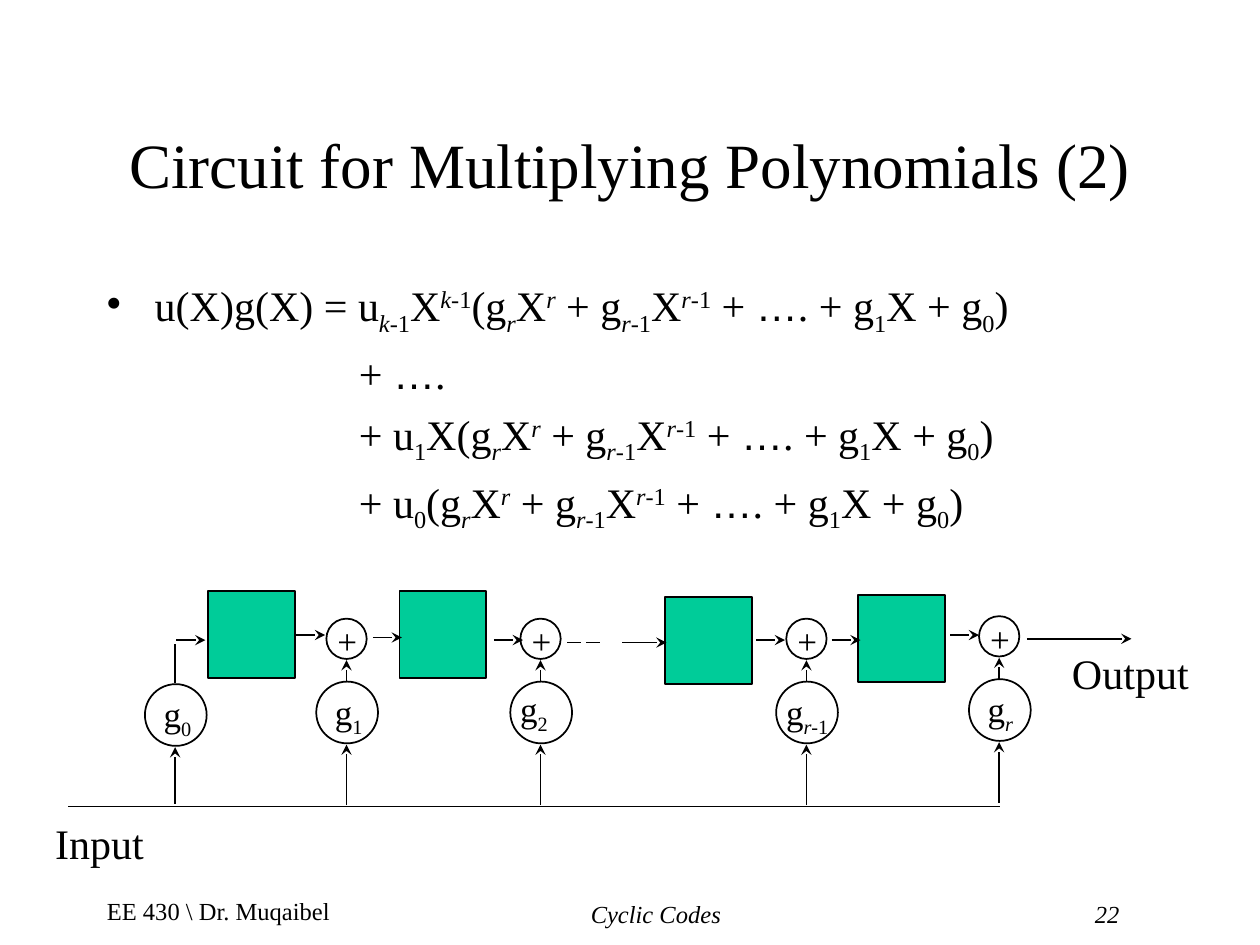
from dataclasses import dataclass
from typing import NamedTuple

from lxml.etree import SubElement
from pptx import Presentation
from pptx.dml.color import RGBColor
from pptx.enum.dml import MSO_LINE
from pptx.enum.shapes import MSO_CONNECTOR, MSO_SHAPE
from pptx.enum.text import MSO_ANCHOR, PP_ALIGN
from pptx.oxml.ns import qn
from pptx.util import Inches, Pt


@dataclass(frozen=True)
class Theme:
    font: str = "Times New Roman"
    dots_font: str = "Arial"
    ink: RGBColor = RGBColor(0, 0, 0)
    register: RGBColor = RGBColor(0x00, 0xCC, 0x99)
    title: int = 36
    body: int = 24
    label: int = 20
    footer: int = 14
    line: int = 1


class Part(NamedTuple):
    text: str
    base: int = 0
    italic: bool = False
    font: str = ""


class Tap(NamedTuple):
    x: float
    dy: float
    label: list[Part]
    label_dx: float
    label_dy: float
    label_w: float = 0.42
    adder: bool = True


class Wire(NamedTuple):
    x1: float
    x2: float
    y: float
    arrow: bool = True
    dashed: bool = False


T = Theme()


def sub(text: str, italic: bool = False) -> Part:
    return Part(text, -25, italic)


def sup(text: str, italic: bool = False) -> Part:
    return Part(text, 30, italic)


def write(p, parts: list[Part], size: int, italic: bool = False) -> None:
    for part in parts:
        r = p.add_run()
        r.text = part.text
        r.font.name = part.font or T.font
        r.font.size = Pt(size)
        r.font.italic = part.italic or italic
        r.font.color.rgb = T.ink
        if part.base:
            r._r.get_or_add_rPr().set("baseline", str(part.base * 1000))


def add_text(s, x: float, y: float, w: float, h: float, parts: list[Part], size: int,
             align=PP_ALIGN.LEFT, anchor=MSO_ANCHOR.TOP, wrap: bool = True, italic: bool = False):
    tf = s.shapes.add_textbox(Inches(x), Inches(y), Inches(w), Inches(h)).text_frame
    tf.word_wrap = wrap
    tf.vertical_anchor = anchor
    p = tf.paragraphs[0]
    p.alignment = align
    write(p, parts, size, italic)
    return tf


def add_node(s, kind, x: float, y: float, size: float, fill=None) -> None:
    sp = s.shapes.add_shape(kind, Inches(x), Inches(y), Inches(size), Inches(size))
    sp.shadow.inherit = False
    if fill is None:
        sp.fill.background()
    else:
        sp.fill.solid()
        sp.fill.fore_color.rgb = fill
    sp.line.color.rgb = T.ink
    sp.line.width = Pt(T.line)


def add_line(s, x1: float, y1: float, x2: float, y2: float,
             arrow: bool = True, dashed: bool = False) -> None:
    c = s.shapes.add_connector(MSO_CONNECTOR.STRAIGHT, Inches(x1), Inches(y1), Inches(x2), Inches(y2))
    c.line.color.rgb = T.ink
    c.line.width = Pt(T.line)
    if dashed:
        c.line.dash_style = MSO_LINE.LONG_DASH
    if arrow:
        SubElement(c.line._get_or_add_ln(), qn("a:tailEnd"), type="stealth")
    SubElement(c._element.spPr, qn("a:effectLst"))


def add_tap(s, tap: Tap) -> None:
    x, dy = tap.x, tap.dy
    add_line(s, x, 6.39 + dy if tap.adder else 6.38, x, 5.91 + dy)
    add_node(s, MSO_SHAPE.OVAL, x - 0.24, 5.41 + dy, 0.49)
    add_text(s, x + tap.label_dx, 5.41 + tap.label_dy, tap.label_w, 0.48,
             tap.label, T.label, wrap=False)
    if tap.adder:
        add_line(s, x, 5.41 + dy, x, 5.24 + dy)
        add_node(s, MSO_SHAPE.OVAL, x - 0.16, 4.91 + dy, 0.32)
        add_text(s, x - 0.17, 4.87 + dy, 0.39, 0.43, [Part("+")], T.label)
    else:
        add_line(s, x, 5.42, x, 5.11, arrow=False)


def add_tabs(p, stops: list[float]) -> None:
    tabs = SubElement(p._p.get_or_add_pPr(), qn("a:tabLst"))
    for stop in stops:
        SubElement(tabs, qn("a:tab"), pos=str(Inches(stop)), algn="l")


# Formula pieces
R, R_MINUS_1 = "r", "-1"
DOTS = Part("…", font=T.dots_font)
G_POLY = [Part("(g"), sub(R, True), Part("X"), sup(R, True), Part(" + g"), sub(R, True),
          sub(R_MINUS_1), Part("X"), sup(R, True), sup(R_MINUS_1), Part(" + "), DOTS,
          Part(". + g"), sub("1"), Part("X + g"), sub("0"), Part(")")]
LEAD = [Part("u(X)g(X) = u"), sub("k", True), sub("-1"), Part("X"), sup("k", True), sup("-1")]
TERMS = [
    [Part("+ "), DOTS, Part(".")],
    [Part("+ u"), sub("1"), Part("X"), *G_POLY],
    [Part("+ u"), sub("0"), *G_POLY],
]

# Circuit parts
REGISTERS = [(1.65, 4.69), (3.17, 4.69), (5.28, 4.74), (6.81, 4.72)]
TAPS = [
    Tap(1.39, 0.02, [Part("g"), sub("0")], -0.19, 0.04, adder=False),
    Tap(2.75, 0, [Part("g"), sub("1")], -0.19, 0.02),
    Tap(4.29, 0, [Part("g"), sub("2")], -0.26, 0),
    Tap(6.4, 0, [Part("g"), sub(R, True), sub(R_MINUS_1)], -0.26, 0.02, 0.54),
    Tap(7.93, -0.02, [Part("g"), sub(R, True)], -0.19, 0, 0.4),
]
SHORT = 0.23
WIRES = [Wire(x, x + SHORT, y) for x, y in [
    (1.4, 5.08), (2.35, 5.04), (2.96, 5.06), (3.92, 5.08), (6, 5.08), (6.6, 5.08), (7.54, 5.04)]]
WIRES += [
    Wire(4.5, 4.78, 5.1, arrow=False, dashed=True),
    Wire(4.94, 5.29, 5.1),
    Wire(8.15, 8.98, 5.07),
    Wire(0.54, 7.94, 6.4, arrow=False),
]


def main() -> None:
    prs = Presentation()
    prs.slide_width, prs.slide_height = Inches(10), Inches(7.5)
    s = prs.slides.add_slide(prs.slide_layouts[6])

    # Footer
    add_text(s, 0.75, 6.98, 2.08, 0.5, [Part("EE 430 \\ Dr. Muqaibel")], T.footer,
             anchor=MSO_ANCHOR.MIDDLE)
    tf = add_text(s, 3.42, 7, 5.75, 0.5, [Part("\tCyclic Codes\t22")], T.footer,
                  anchor=MSO_ANCHOR.MIDDLE, italic=True)
    add_tabs(tf.paragraphs[0], [1.17, 5.17])

    # Title
    add_text(s, 0.75, 0.67, 8.5, 1.25, [Part("Circuit for Multiplying Polynomials (2)")],
             T.title, PP_ALIGN.CENTER, MSO_ANCHOR.MIDDLE)

    # Product expansion
    tf = add_text(s, 0.75, 2.17, 8.5, 4.5, LEAD + G_POLY, T.body)
    pPr = tf.paragraphs[0]._p.get_or_add_pPr()
    pPr.set("marL", str(Inches(0.38)))
    pPr.set("indent", str(-Inches(0.38)))
    SubElement(pPr, qn("a:buChar"), char="•")
    for term in TERMS:
        p = tf.add_paragraph()
        p.space_before = Pt(6)
        p._p.get_or_add_pPr().set("marL", str(Inches(2)))
        write(p, term, T.body)

    # Circuit
    for x, y in REGISTERS:
        add_node(s, MSO_SHAPE.RECTANGLE, x, y, 0.69, T.register)
    for tap in TAPS:
        add_tap(s, tap)
    for wire in WIRES:
        add_line(s, wire.x1, wire.y, wire.x2, wire.y, wire.arrow, wire.dashed)
    add_text(s, 0.34, 6.44, 0.93, 0.5, [Part("Input")], T.body)
    add_text(s, 8.41, 5.09, 1.13, 0.5, [Part("Output")], T.body, wrap=False)

    prs.save("out.pptx")


if __name__ == "__main__":
    main()
